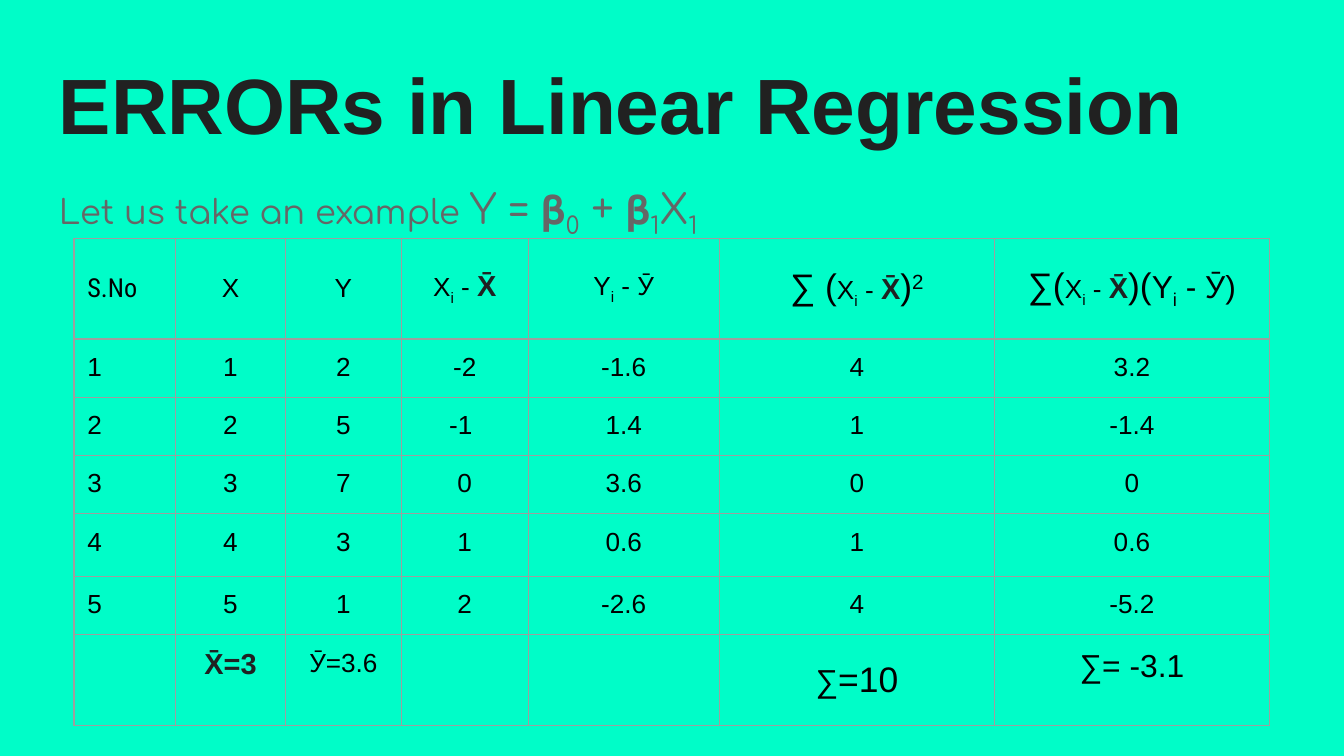
from lxml import etree
from pptx import Presentation
from pptx.dml.color import RGBColor
from pptx.enum.text import MSO_ANCHOR, PP_ALIGN
from pptx.oxml.ns import qn
from pptx.util import Pt


def paint(color, code):
    color.rgb = RGBColor.from_string(code)


def write(par, runs, face, code):
    """Add runs of (text, size, baseline shift in percent)."""
    for text, size, shift in runs:
        run = par.add_run()
        run.text = text
        run.font.name = face
        run.font.size = Pt(size)
        mean = "X̄" in text
        run.font.bold = mean
        paint(run.font.color, "202122" if mean else code)
        if shift:
            run.font._element.set("baseline", str(shift * 1000))


deck = Presentation()
deck.slide_width, deck.slide_height = Pt(720), Pt(405)
slide = deck.slides.add_slide(deck.slide_layouts[6])
slide.background.fill.solid()
paint(slide.background.fill.fore_color, "00FDC8")

# Title and example line
frames = []
for top, height in ((23, 63.4), (86.4, 42)):
    frame = slide.shapes.add_textbox(Pt(24.5), Pt(top), Pt(671), Pt(height)).text_frame
    frame.word_wrap = True
    frame.margin_left = frame.margin_right = Pt(7.2)
    frame.margin_top = frame.margin_bottom = Pt(7.2)
    frames.append(frame)
title, lead = [frame.paragraphs[0] for frame in frames]
write(title, [("ERRORs in Linear Regression", 42, 0)], "Arial", "212121")
title.runs[0].font.bold = True
lead.line_spacing = 1.15
write(lead, [("Let us take an example ", 18, 0), ("Y = 𝛃", 22, 0), ("0", 22, -25),
             (" + 𝛃", 22, 0), ("1", 22, -25), ("X", 22, 0), ("1", 22, -25)],
      "Comfortaa", "666666")

# Table content: plain strings are 14 pt, lists hold mixed runs
diff = [("X", 14, 0), ("i", 14, -25), (" - ", 14, 0), ("X̄", 15.5, 0)]
head = ["S.No", "X", "Y", diff,
        [("Y", 14, 0), ("i", 14, -25), (" - Ӯ", 14, 0)],
        [("∑ (", 19, 0), *diff, (")", 19, 0), ("2", 19, 30)],
        [("∑(", 19, 0), *diff, (")(", 19, 0), ("Y", 17, 0),
         ("i", 17, -25), (" - Ӯ)", 17, 0)]]
body = [line.split() for line in (
    "1 1 2 -2 -1.6 4 3.2",
    "2 2 5 -1 1.4 1 -1.4",
    "3 3 7 0 3.6 0 0",
    "4 4 3 1 0.6 1 0.6",
    "5 5 1 2 -2.6 4 -5.2")]
foot = ["", [("X̄=3", 15.5, 0)], "Ӯ=3.6", "", "",
        [("∑", 17, 0), ("=10", 19, 0)], [("∑= -3.1", 17, 0)]]
rows = [head, *body, foot]
wide = [54.4, 59, 62, 68, 102.4, 147.4, 147.4]
tall = [54, 31.2, 31.2, 31.2, 33.6, 31.2, 48.6]

# Table grid
table = slide.shapes.add_table(len(tall), len(wide), Pt(39.6), Pt(127.6),
                               Pt(sum(wide)), Pt(sum(tall))).table
table.first_row = table.horz_banding = False
for col, width in zip(table.columns, wide):
    col.width = Pt(width)
for row, height in zip(table.rows, tall):
    row.height = Pt(height)

# Cells
for r, row in enumerate(rows):
    for c, item in enumerate(row):
        cell = table.cell(r, c)
        cell.margin_left = cell.margin_right = Pt(7.2)
        cell.margin_top = cell.margin_bottom = Pt(7.2)
        middle = r == 0 or (r, c) == (6, 5)
        cell.vertical_anchor = MSO_ANCHOR.MIDDLE if middle else MSO_ANCHOR.TOP
        par = cell.text_frame.paragraphs[0]
        par.alignment = PP_ALIGN.CENTER if c else PP_ALIGN.LEFT
        if item:
            runs = [(item, 14, 0)] if isinstance(item, str) else item
            write(par, runs, "Roboto Condensed" if r == c == 0 else "Arial", "000000")
        props = cell._tc.get_or_add_tcPr()
        for side in ("a:lnL", "a:lnR", "a:lnT", "a:lnB"):
            line = etree.SubElement(props, qn(side), w=str(Pt(0.75)))
            solid = etree.SubElement(line, qn("a:solidFill"))
            etree.SubElement(solid, qn("a:srgbClr"), val="9E9E9E")
        cell.fill.background()
table.cell(2, 3).margin_right = Pt(11.5)

deck.save("out.pptx")
